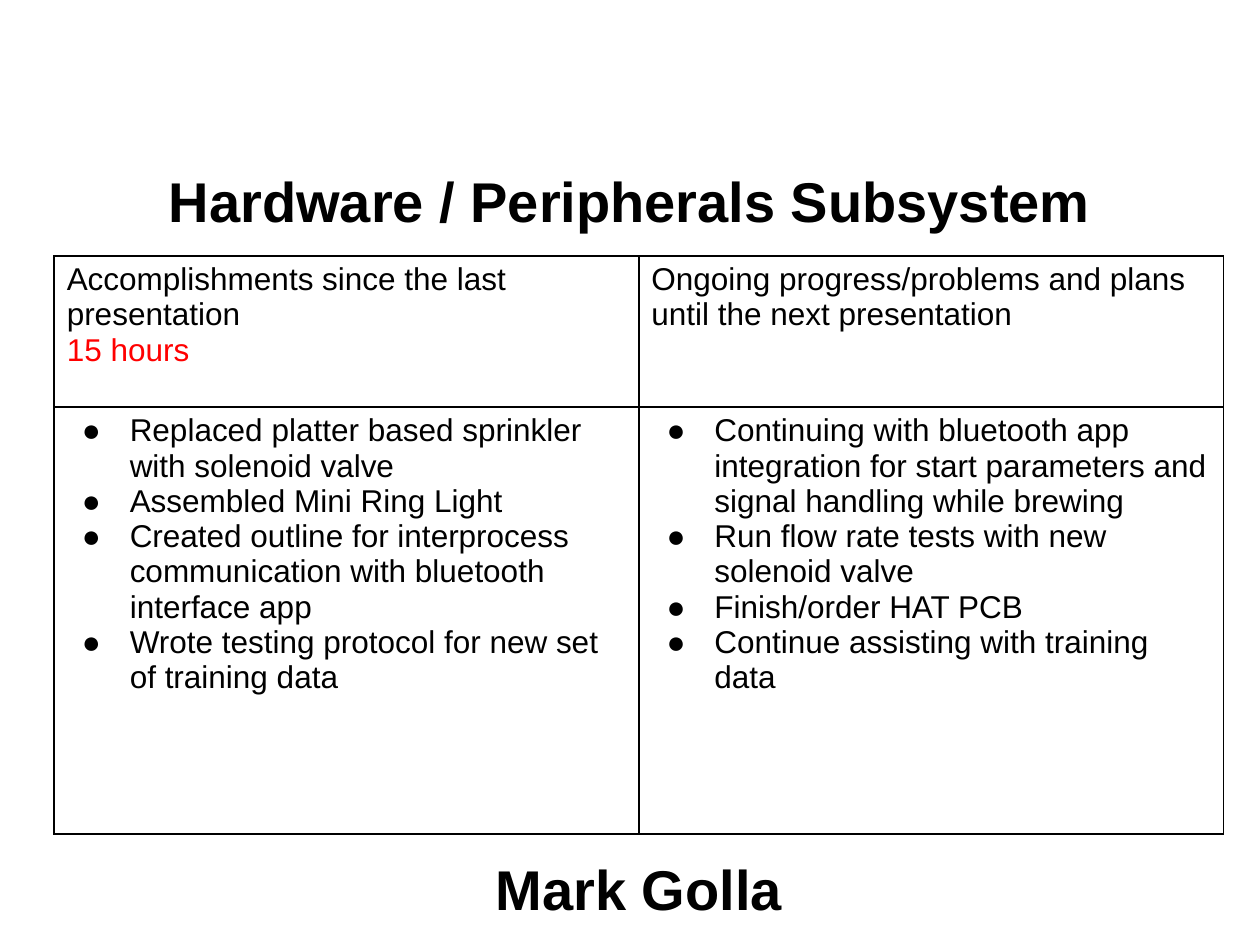
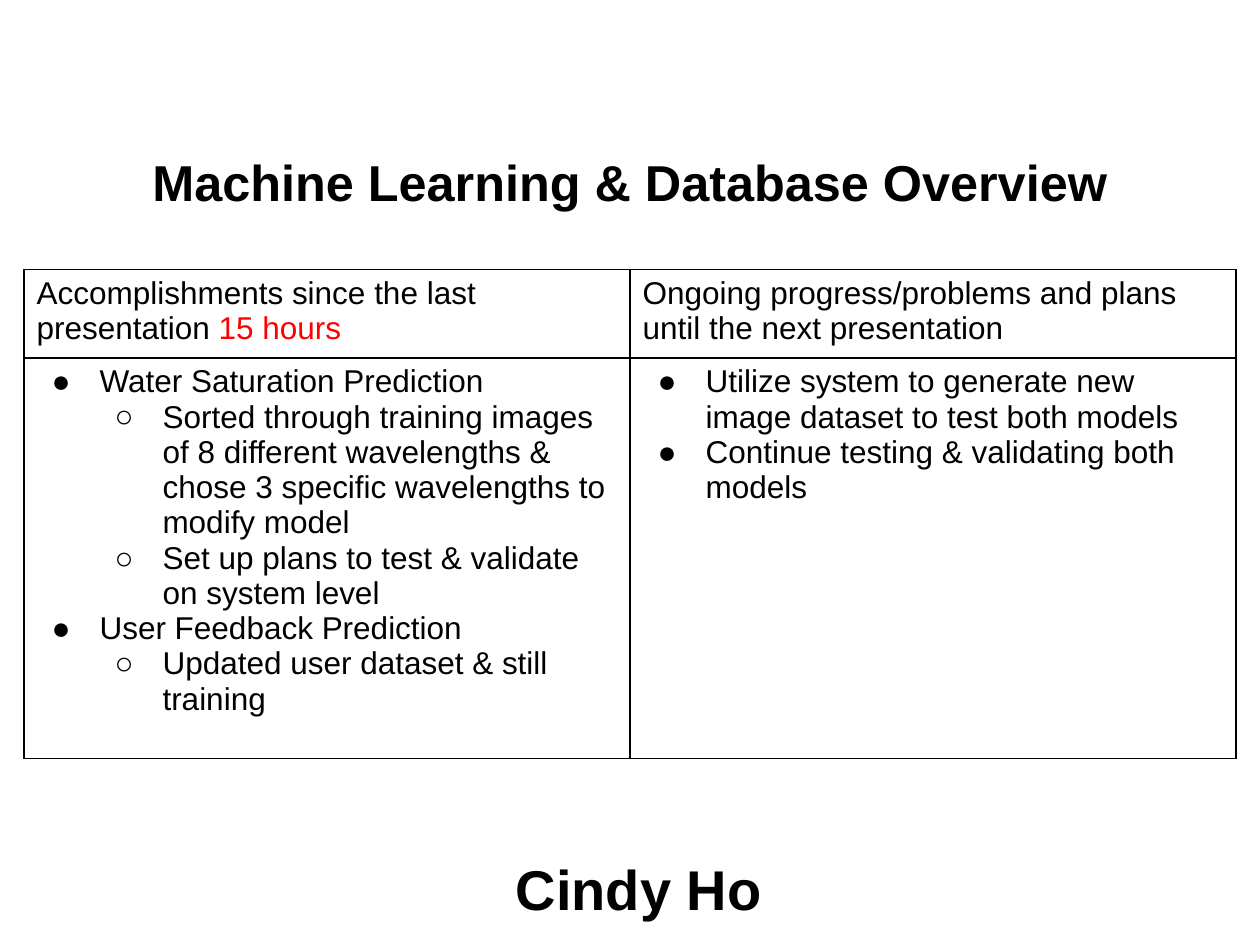
import pptx
import pptx.util
import pptx.dml.color
import pptx.enum.text
import pptx.oxml.ns
from dataclasses import dataclass
from lxml import etree

Inches = pptx.util.Inches


@dataclass(frozen=True)
class Theme:
    font: str = "Arial"
    ink: str = "000000"
    accent: str = "FF0000"
    paper: str = "FFFFFF"
    heading_size: float = 32
    body_size: float = 18
    border_width: float = 1
    bullets: tuple = ("●", "○")
    indent: float = 0.5
    hanging: float = 0.38


theme = Theme()


def add_xml(parent, tag, **attributes):
    return etree.SubElement(parent, pptx.oxml.ns.qn(tag), attributes)


def write(para, text, size=theme.body_size, color=theme.ink, bold=False, centered=False, bullet_level=None):
    """Append a formatted span to a paragraph, bulleted if a level is given."""
    if centered:
        para.alignment = pptx.enum.text.PP_ALIGN.CENTER
    if bullet_level is not None:
        para.level = bullet_level
        properties = para._p.get_or_add_pPr()
        properties.set("marL", str(Inches(theme.indent * (bullet_level + 1))))
        properties.set("indent", str(-Inches(theme.hanging)))
        add_xml(add_xml(properties, "a:buClr"), "a:srgbClr", val=theme.ink)
        add_xml(properties, "a:buFont", typeface=theme.font)
        add_xml(properties, "a:buChar", char=theme.bullets[bullet_level])
    span = para.add_run()
    span.text = text
    span.font.name = theme.font
    span.font.size = pptx.util.Pt(size)
    span.font.bold = bold
    span.font.color.rgb = pptx.dml.color.RGBColor.from_string(color)


# Content: headers hold paragraphs of (text, color) spans, lists hold (level, text)
done_header = "Accomplishments since the last presentation"
plans_header = [[("Ongoing progress/problems and plans until the next presentation", theme.ink)]]
hours = ("15 hours", theme.accent)

reports = [
    dict(
        title="Hardware / Peripherals Subsystem", title_size=32, title_bottom=0.05,
        presenter="Mark Golla",
        left=0.43, top=2.03, column_width=4.64, row_heights=(1.2, 3.39),
        headers=([[(done_header, theme.ink)], [hours]], plans_header),
        lists=(
            [
                (0, "Replaced platter based sprinkler with solenoid valve"),
                (0, "Assembled Mini Ring Light"),
                (0, "Created outline for interprocess communication with bluetooth interface app"),
                (0, "Wrote testing protocol for new set of training data"),
            ],
            [
                (0, "Continuing with bluetooth app integration for start parameters "
                    "and signal handling while brewing"),
                (0, "Run flow rate tests with new solenoid valve"),
                (0, "Finish/order HAT PCB"),
                (0, "Continue assisting with training data"),
            ],
        ),
    ),
    dict(
        title="Machine Learning & Database Overview", title_size=28.8, title_bottom=0.35,
        presenter="Cindy Ho",
        left=0.19, top=2.14, column_width=4.81, row_heights=(0.7, 3.18),
        headers=([[(done_header + " ", theme.ink), hours]], plans_header),
        lists=(
            [
                (0, "Water Saturation Prediction"),
                (1, "Sorted through training images of 8 different wavelengths & "
                    "chose 3 specific wavelengths to modify model"),
                (1, "Set up plans to test & validate on system level"),
                (0, "User Feedback Prediction"),
                (1, "Updated user dataset & still training"),
            ],
            [
                (0, "Utilize system to generate new image dataset to test both models"),
                (0, "Continue testing & validating both models"),
            ],
        ),
    ),
]

deck = pptx.Presentation()
deck.slide_width, deck.slide_height = Inches(10), Inches(7.5)
title_only = deck.slide_layouts[5]

for report in reports:
    page = deck.slides.add_slide(title_only)
    page.background.fill.solid()
    page.background.fill.fore_color.rgb = pptx.dml.color.RGBColor.from_string(theme.paper)

    # Title above the table and presenter below it
    title_box = page.shapes.title
    presenter_box = page.shapes.add_textbox(0, 0, 0, 0)
    headings = [
        (title_box, report["title"], report["title_size"], 0.5, 1.15, report["title_bottom"]),
        (presenter_box, report["presenter"], theme.heading_size, 0.57, 6.61, 0.05),
    ]
    for box, text, size, left, top, bottom_inset in headings:
        box.left, box.top, box.width, box.height = map(Inches, (left, top, 9, 0.88))
        frame = box.text_frame
        frame.word_wrap = True
        frame.auto_size = pptx.enum.text.MSO_AUTO_SIZE.NONE
        frame.vertical_anchor = pptx.enum.text.MSO_ANCHOR.MIDDLE
        frame.margin_left = frame.margin_right = Inches(0.1)
        frame.margin_top, frame.margin_bottom = Inches(0.05), Inches(bottom_inset)
        write(frame.paragraphs[0], text, size=size, bold=True, centered=True)

    # Table frame
    table = page.shapes.add_table(
        2, 2, Inches(report["left"]), Inches(report["top"]),
        Inches(2 * report["column_width"]), Inches(sum(report["row_heights"])),
    ).table
    table.first_row = table.horz_banding = False
    for column in table.columns:
        column.width = Inches(report["column_width"])
    for row, height in zip(table.rows, report["row_heights"]):
        row.height = Inches(height)

    # Cell borders and fills
    for cell in table.iter_cells():
        cell.margin_left = cell.margin_right = Inches(0.1)
        cell.margin_top = cell.margin_bottom = Inches(0.05)
        cell_properties = cell._tc.get_or_add_tcPr()
        for side in ("a:lnL", "a:lnR", "a:lnT", "a:lnB"):
            line = add_xml(cell_properties, side, w=str(pptx.util.Pt(theme.border_width)))
            add_xml(add_xml(line, "a:solidFill"), "a:srgbClr", val=theme.ink)
        cell.fill.background()

    # Headers and bullet lists
    for column_index in range(2):
        header_frame = table.cell(0, column_index).text_frame
        for index, spans in enumerate(report["headers"][column_index]):
            para = header_frame.add_paragraph() if index else header_frame.paragraphs[0]
            for text, color in spans:
                write(para, text, color=color)
        list_frame = table.cell(1, column_index).text_frame
        for index, (level, text) in enumerate(report["lists"][column_index]):
            para = list_frame.add_paragraph() if index else list_frame.paragraphs[0]
            write(para, text, bullet_level=level)

deck.save("out.pptx")
